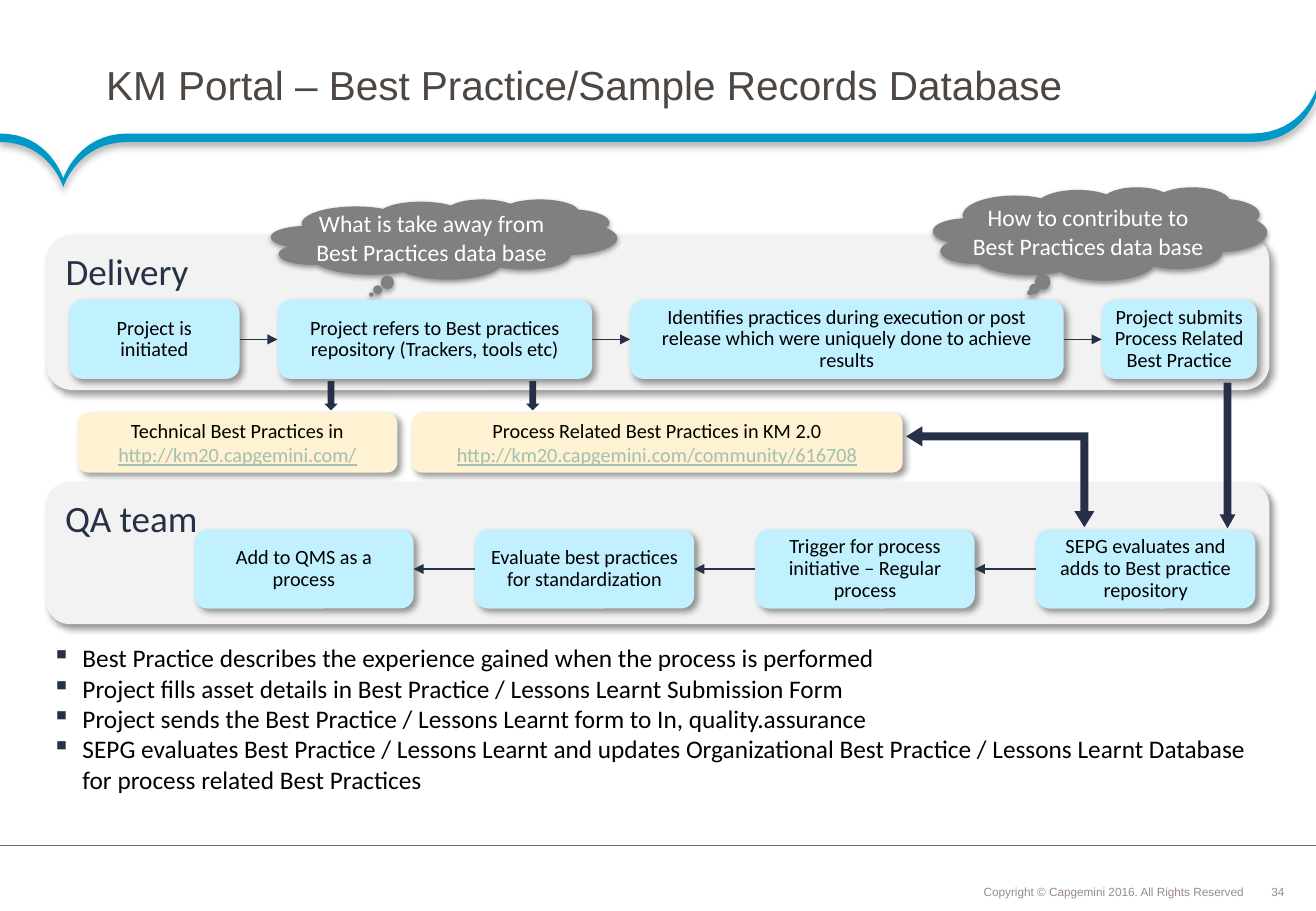
from dataclasses import dataclass, field, replace
from itertools import pairwise

from lxml.etree import SubElement
from pptx import Presentation
from pptx.dml.color import RGBColor
from pptx.enum.shapes import MSO_CONNECTOR, MSO_SHAPE
from pptx.enum.text import MSO_ANCHOR, MSO_AUTO_SIZE, PP_ALIGN
from pptx.oxml.ns import qn
from pptx.util import Pt

COLORS = {
    "ribbon": "0098C7", "title": "4E4641", "footer": "998C85", "rule": "6D6D6D",
    "panel": "F2F2F2", "navy": "263147", "cloud": "808080", "white": "FFFFFF",
    "step": "C1F0FF", "source": "FFF2D2", "link": "A2BFAF", "black": "000000",
}


@dataclass(frozen=True)
class Frame:
    left: float
    top: float
    width: float
    height: float

    def lengths(self) -> list:
        return [Pt(value) for value in (self.left, self.top, self.width, self.height)]


@dataclass(frozen=True)
class TextStyle:
    size: float
    color: str
    font: str = "Calibri"
    align: PP_ALIGN = PP_ALIGN.CENTER
    anchor: MSO_ANCHOR = MSO_ANCHOR.MIDDLE
    insets: tuple = (7.2, 3.6, 7.2, 3.6)
    spacing: float = 1.0
    wrap: bool = True


@dataclass(frozen=True)
class Shadow:
    opacity: int
    blur: float
    distance: float
    angle: int


@dataclass(frozen=True)
class Block:
    frame: Frame
    fill: str
    kind: MSO_SHAPE = MSO_SHAPE.ROUNDED_RECTANGLE
    text: str = ""
    style: TextStyle | None = None
    shadow: Shadow | None = None
    adjustments: tuple = ()
    rotation: int = 0


@dataclass(frozen=True)
class StepRow:
    left: float
    top: float
    gap: float
    widths: list
    captions: list
    backwards: bool = False
    tight: set = field(default_factory=set)


SOFT = Shadow(40, 4, 3, 45)
CLOUD_SHADOW = Shadow(38, 3.1, 1.6, 90)
TITLE = TextStyle(24, "title", "Arial", PP_ALIGN.LEFT, insets=(24, 3, 13, 3), spacing=0.85)
COPYRIGHT = TextStyle(7, "footer", "Arial", PP_ALIGN.RIGHT, MSO_ANCHOR.BOTTOM, (3, 3, 3, 3), 0.9)
NUMBER = TextStyle(7, "footer", "Arial", insets=(0, 0, 0, 0), wrap=False)
PANEL = TextStyle(22, "navy", align=PP_ALIGN.LEFT, anchor=MSO_ANCHOR.TOP)
CLOUD = TextStyle(14, "white", wrap=False)
STEP = TextStyle(12, "black", spacing=0.9)
TIGHT_STEP = replace(STEP, insets=(0, 3.6, 0, 3.6))
SOURCE = TextStyle(12, "black", insets=(6.5, 3, 6.5, 3))
NOTES = TextStyle(15, "black", align=PP_ALIGN.LEFT, anchor=MSO_ANCHOR.TOP)

PANELS = [
    Block(Frame(27.4, 285.8, 725, 84.2), "panel", text="QA team", style=PANEL, shadow=SOFT),
    Block(Frame(27.4, 139, 725, 92.2), "panel", text="Delivery", style=PANEL, shadow=SOFT),
]
CLOUDS = [
    Block(Frame(160.6, 118.1, 205.2, 47.5), "cloud", MSO_SHAPE.CLOUD_CALLOUT,
          "What is take away from\vBest Practices data base", CLOUD, CLOUD_SHADOW, (-0.21, 0.69)),
    Block(Frame(553, 110.9, 198, 55.4), "cloud", MSO_SHAPE.CLOUD_CALLOUT,
          "How to contribute to\vBest Practices data base", CLOUD, CLOUD_SHADOW, (-0.21, 0.63)),
]
STEP_ROWS = [
    StepRow(41, 177.8, 22.5, [101, 186.5, 257, 92], [
        "Project is initiated",
        "Project refers to Best practices repository (Trackers, tools etc)",
        "Identifies practices during execution or post release which were uniquely done to achieve results",
        "Project submits Process Related Best Practice",
    ], tight={3}),
    StepRow(115.2, 313.9, 36.3, [130] * 4, [
        "Add to QMS as a process",
        "Evaluate best practices for standardization",
        "Trigger for process initiative – Regular process",
        "SEPG evaluates and adds to Best practice repository",
    ], backwards=True),
]
STEP_HEIGHT = 46.8
SOURCES = [
    Block(Frame(244.1, 244.8, 290.9, 35.3), "source", shadow=SOFT, style=SOURCE,
          text="Process Related Best Practices in KM 2.0\nhttp://km20.capgemini.com/community/616708"),
    Block(Frame(46.1, 244.8, 189.4, 35.3), "source", shadow=SOFT, style=SOURCE,
          text="Technical Best Practices in\nhttp://km20.capgemini.com/"),
]
BLOCK_ARROWS = [
    Block(Frame(563, 226.8, 59.8, 111.6), "navy", MSO_SHAPE.LEFT_UP_ARROW,
          adjustments=(0.08, 0.1, 0.16), rotation=270),
    Block(Frame(192.2, 226, 8, 17.3), "navy", MSO_SHAPE.DOWN_ARROW),
    Block(Frame(311.8, 226, 8, 17.3), "navy", MSO_SHAPE.DOWN_ARROW),
    Block(Frame(722.9, 226.8, 9.4, 86.4), "navy", MSO_SHAPE.DOWN_ARROW, adjustments=(0.5, 0.88)),
]
NOTE_LINES = [
    "Best Practice describes the experience gained when the process is performed",
    "Project fills asset details in Best Practice / Lessons Learnt Submission Form",
    "Project sends the Best Practice / Lessons Learnt form to In, quality.assurance",
    "SEPG evaluates Best Practice / Lessons Learnt and updates Organizational Best Practice"
    " / Lessons Learnt Database for process related Best Practices",
]


def rgb(name: str) -> RGBColor:
    return RGBColor.from_string(COLORS[name])


def write(shape, text: str, style: TextStyle) -> None:
    frame = shape.text_frame
    frame.text = text
    frame.word_wrap = style.wrap
    frame.auto_size = MSO_AUTO_SIZE.NONE
    frame.vertical_anchor = style.anchor
    frame.margin_left, frame.margin_top, frame.margin_right, frame.margin_bottom = map(Pt, style.insets)
    for para in frame.paragraphs:
        para.alignment = style.align
        para.line_spacing = style.spacing
        for span in para.runs:
            span.font.name, span.font.size = style.font, Pt(style.size)
            span.font.color.rgb = rgb(style.color)


def paint(shape, fill: str, shadow: Shadow | None) -> None:
    shape.fill.solid()
    shape.fill.fore_color.rgb = rgb(fill)
    shape.line.fill.background()
    shape.shadow.inherit = False
    if shadow:
        effects = shape._element.spPr.find(qn("a:effectLst"))
        outer = SubElement(effects, qn("a:outerShdw"), blurRad=str(Pt(shadow.blur)),
                           dist=str(Pt(shadow.distance)), dir=str(shadow.angle * 60000),
                           algn="ctr", rotWithShape="0")
        color = SubElement(outer, qn("a:srgbClr"), val=COLORS["black"])
        SubElement(color, qn("a:alpha"), val=str(shadow.opacity * 1000))


def draw_block(page, block: Block):
    shape = page.shapes.add_shape(block.kind, *block.frame.lengths())
    paint(shape, block.fill, block.shadow)
    shape.rotation = block.rotation
    for index, value in enumerate(block.adjustments):
        shape.adjustments[index] = value
    if block.style:
        write(shape, block.text, block.style)
    return shape


def draw_text(page, frame: Frame, text: str, style: TextStyle):
    box = page.shapes.add_textbox(*frame.lengths())
    write(box, text, style)
    return box


def draw_line(page, color: str, ends: tuple = (0, 0, 0, 0)):
    line = page.shapes.add_connector(MSO_CONNECTOR.STRAIGHT, *map(Pt, ends))
    line.line.color.rgb, line.line.width = rgb(color), Pt(0.75)
    SubElement(line._element.spPr, qn("a:effectLst"))
    return line


def draw_steps(page, row: StepRow) -> None:
    boxes, left = [], row.left
    for index, (width, caption) in enumerate(zip(row.widths, row.captions)):
        style = TIGHT_STEP if index in row.tight else STEP
        frame = Frame(left, row.top, width, STEP_HEIGHT)
        boxes.append(draw_block(page, Block(frame, "step", text=caption, style=style, shadow=SOFT)))
        left += width + row.gap
    for before, after in pairwise(boxes):
        arrow = draw_line(page, "navy")
        start, end = ((after, 1), (before, 3)) if row.backwards else ((before, 3), (after, 1))
        arrow.begin_connect(*start)
        arrow.end_connect(*end)
        SubElement(arrow.line._get_or_add_ln(), qn("a:tailEnd"), type="triangle")


def curve(start: tuple, first: tuple, second: tuple, end: tuple, steps: int = 16) -> list:
    times = [step / steps for step in range(steps + 1)]
    return [tuple((1 - t) ** 3 * a + 3 * (1 - t) ** 2 * t * b + 3 * (1 - t) * t ** 2 * c + t ** 3 * d
                  for a, b, c, d in zip(start, first, second, end)) for t in times]


def ribbon_edge(y: float) -> list:
    notch, tip = (37.5, y + 26.7), (780, y - 26)
    return (curve((0, y), (29.5, y), notch, notch) + curve(notch, notch, (46, y), (75.6, y))
            + curve((741.6, y), (772, y), tip, tip))


def draw_ribbon(page) -> None:
    outline = [(Pt(x), Pt(y)) for x, y in ribbon_edge(79.2) + ribbon_edge(84.2)[::-1]]
    builder = page.shapes.build_freeform(*outline[0])
    builder.add_line_segments(outline[1:], close=True)
    paint(builder.convert_to_shape(), "ribbon", Shadow(31, 4, 2, 90))


def draw_notes(page) -> None:
    box = draw_text(page, Frame(23.8, 377.3, 726.5, 97.9), "\n".join(NOTE_LINES), NOTES)
    for para in box.text_frame.paragraphs:
        properties = para._p.get_or_add_pPr()
        properties.set("marL", str(Pt(18)))
        properties.set("indent", str(Pt(-18)))
        SubElement(SubElement(properties, qn("a:buClr")), qn("a:srgbClr"), val=COLORS["navy"])
        SubElement(properties, qn("a:buChar"), char="▪")


def main() -> None:
    deck = Presentation()
    deck.slide_width, deck.slide_height = Pt(780), Pt(540)
    page = deck.slides.add_slide(deck.slide_layouts[5])
    title = page.shapes.title
    title.left, title.top, title.width, title.height = Frame(38.9, 21.6, 702, 61.2).lengths()
    write(title, "KM Portal – Best Practice/Sample Records Database", TITLE)
    draw_ribbon(page)
    draw_line(page, "rule", (780, 501.1, 0, 501.1))
    draw_text(page, Frame(530.6, 521.3, 209.5, 14.4),
              "Copyright © Capgemini 2016. All Rights Reserved", COPYRIGHT)
    draw_text(page, Frame(753.1, 524.2, 8.6, 8.6), "34", NUMBER)
    for block in PANELS + CLOUDS:
        draw_block(page, block)
    for row in STEP_ROWS:
        draw_steps(page, row)
    for source in SOURCES:
        link = draw_block(page, source).text_frame.paragraphs[1].runs[0]
        link.font.color.rgb, link.font.underline = rgb("link"), True
    for arrow in BLOCK_ARROWS:
        draw_block(page, arrow)
    draw_notes(page)
    deck.save("out.pptx")


if __name__ == "__main__":
    main()
